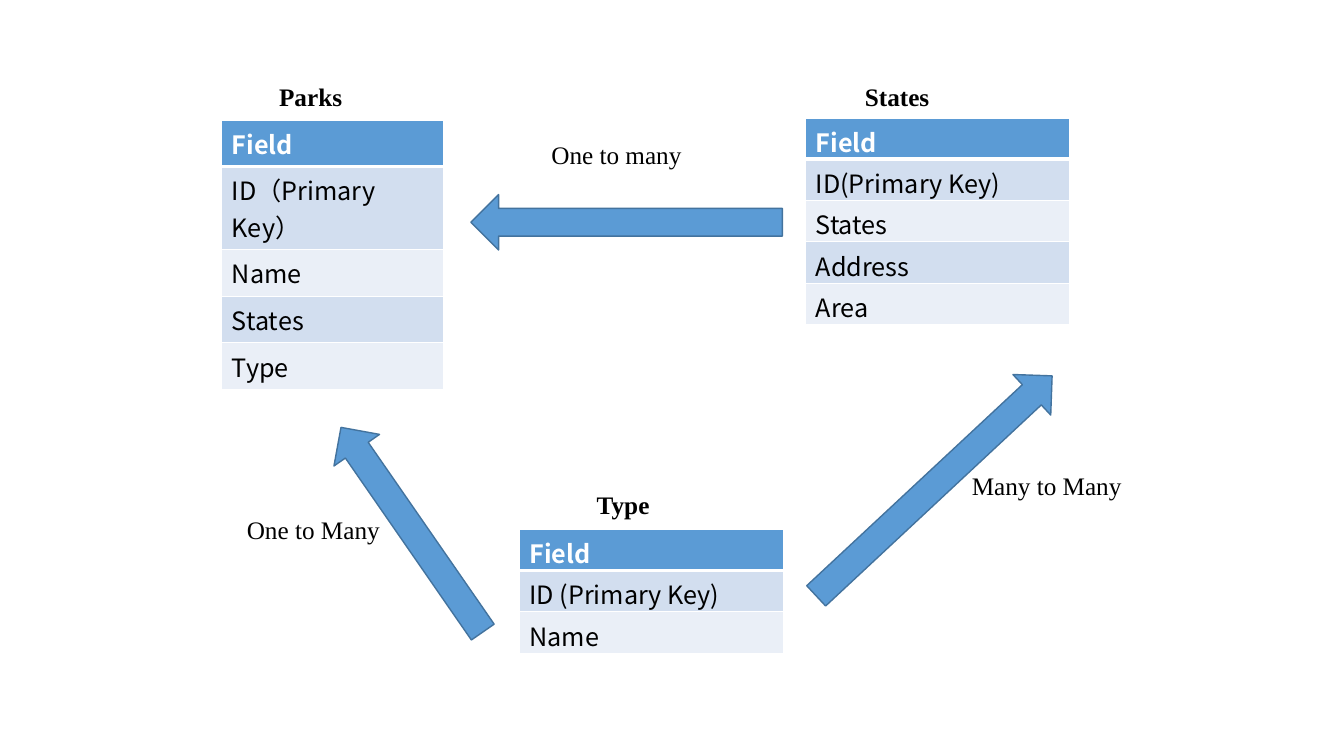
"""Build a slide showing how the Parks, States and Type tables relate."""
from dataclasses import dataclass

from lxml import etree
from pptx import Presentation
from pptx import util as u
from pptx.dml.color import RGBColor
from pptx.enum import shapes, text
from pptx.oxml import ns


@dataclass(frozen=True)
class Theme:
    accent: str = "5B9BD5"
    outline: str = "43739E"
    bands: tuple[str, str] = ("D2DEEF", "EAEFF7")
    white: str = "FFFFFF"
    black: str = "000000"
    table_font: str = "Noto Sans CJK SC"
    label_font: str = "Times New Roman"
    size: int = 18
    line: int = 1
    header_line: int = 3


@dataclass(frozen=True)
class Label:
    words: str
    left: float
    top: float
    width: float
    bold: bool = False


@dataclass(frozen=True)
class Entity:
    title: Label
    left: float
    top: float
    width: float
    fields: tuple[str, ...]


@dataclass(frozen=True)
class Relation:
    label: Label
    left: float
    top: float
    length: float
    rotation: float


THEME = Theme()
ROW_HEIGHT = 0.41
LABEL_HEIGHT = 0.4
ARROW_WIDTH = 0.55
TITLE_WIDTH = 1.41
RELATION_WIDTH = 2.16

ENTITIES = (
    Entity(Label("Parks", 2.67, 0.76, TITLE_WIDTH, True), 2.2, 1.19, 2.2,
           ("ID（Primary Key）", "Name", "States", "Type")),
    Entity(Label("States", 8.48, 0.76, TITLE_WIDTH, True), 7.99, 1.17, 2.62,
           ("ID(Primary Key)", "States", "Address", "Area")),
    Entity(Label("Type", 5.82, 4.81, TITLE_WIDTH, True), 5.15, 5.25, 2.62,
           ("ID (Primary Key)", "Name")),
)

RELATIONS = (
    Relation(Label("One to many", 5.37, 1.33, RELATION_WIDTH), 5.94, 0.66, 3.09, 90),
    Relation(Label("One to Many", 2.35, 5.05, RELATION_WIDTH), 3.81, 4.02, 2.47, 145.3),
    Relation(Label("Many to Many", 9.54, 4.62, RELATION_WIDTH), 8.99, 3.22, 3.2, 227),
)


def add_run(p, words: str, font: str, color: str, bold: bool) -> None:
    """Add one styled run to a paragraph."""
    r = p.add_run()
    r.text = words
    r.font.size = u.Pt(THEME.size)
    r.font.name = font
    r.font.bold = bold
    r.font.color.rgb = RGBColor.from_string(color)
    ea = etree.SubElement(r.font._element, ns.qn("a:ea"))
    ea.set("typeface", font)


def add_label(slide, label: Label) -> None:
    """Add a text box holding one label."""
    sp = slide.shapes.add_textbox(u.Inches(label.left), u.Inches(label.top),
                                  u.Inches(label.width), u.Inches(LABEL_HEIGHT))
    tf = sp.text_frame
    tf.word_wrap = True
    tf.auto_size = text.MSO_AUTO_SIZE.SHAPE_TO_FIT_TEXT
    add_run(tf.paragraphs[0], label.words, THEME.label_font, THEME.black, label.bold)


def set_borders(cell, top: int, bottom: int) -> None:
    """Give a cell white borders, with their widths in points."""
    tc_pr = cell._tc.get_or_add_tcPr()
    widths = {"L": THEME.line, "R": THEME.line, "T": top, "B": bottom}
    for side, width in widths.items():
        ln = etree.SubElement(tc_pr, ns.qn(f"a:ln{side}"), w=str(u.Pt(width)))
        fill = etree.SubElement(ln, ns.qn("a:solidFill"))
        etree.SubElement(fill, ns.qn("a:srgbClr"), val=THEME.white)


def add_entity(slide, entity: Entity) -> None:
    """Add a titled table listing the fields of an entity."""
    rows = ("Field", *entity.fields)
    frame = slide.shapes.add_table(len(rows), 1, u.Inches(entity.left), u.Inches(entity.top),
                                   u.Inches(entity.width), u.Inches(ROW_HEIGHT * len(rows)))
    for i, words in enumerate(rows):
        header = i == 0
        cell = frame.table.cell(i, 0)
        set_borders(cell, THEME.header_line if i == 1 else THEME.line,
                    THEME.header_line if header else THEME.line)
        cell.fill.solid()
        color = THEME.accent if header else THEME.bands[(i - 1) % 2]
        cell.fill.fore_color.rgb = RGBColor.from_string(color)
        add_run(cell.text_frame.paragraphs[0], words, THEME.table_font,
                THEME.white if header else THEME.black, header)
    add_label(slide, entity.title)


def add_relation(slide, relation: Relation) -> None:
    """Add a rotated block arrow and its label."""
    sp = slide.shapes.add_shape(shapes.MSO_SHAPE.DOWN_ARROW,
                                u.Inches(relation.left), u.Inches(relation.top),
                                u.Inches(ARROW_WIDTH), u.Inches(relation.length))
    sp.rotation = relation.rotation
    sp.shadow.inherit = False
    sp.fill.solid()
    sp.fill.fore_color.rgb = RGBColor.from_string(THEME.accent)
    sp.line.color.rgb = RGBColor.from_string(THEME.outline)
    sp.line.width = u.Pt(THEME.line)
    add_label(slide, relation.label)


def main() -> None:
    """Build and save the slide."""
    prs = Presentation()
    prs.slide_width = u.Inches(13.33)
    prs.slide_height = u.Inches(7.5)
    slide = prs.slides.add_slide(prs.slide_layouts[6])
    for entity in ENTITIES:
        add_entity(slide, entity)
    for relation in RELATIONS:
        add_relation(slide, relation)
    prs.save("out.pptx")


if __name__ == "__main__":
    main()
